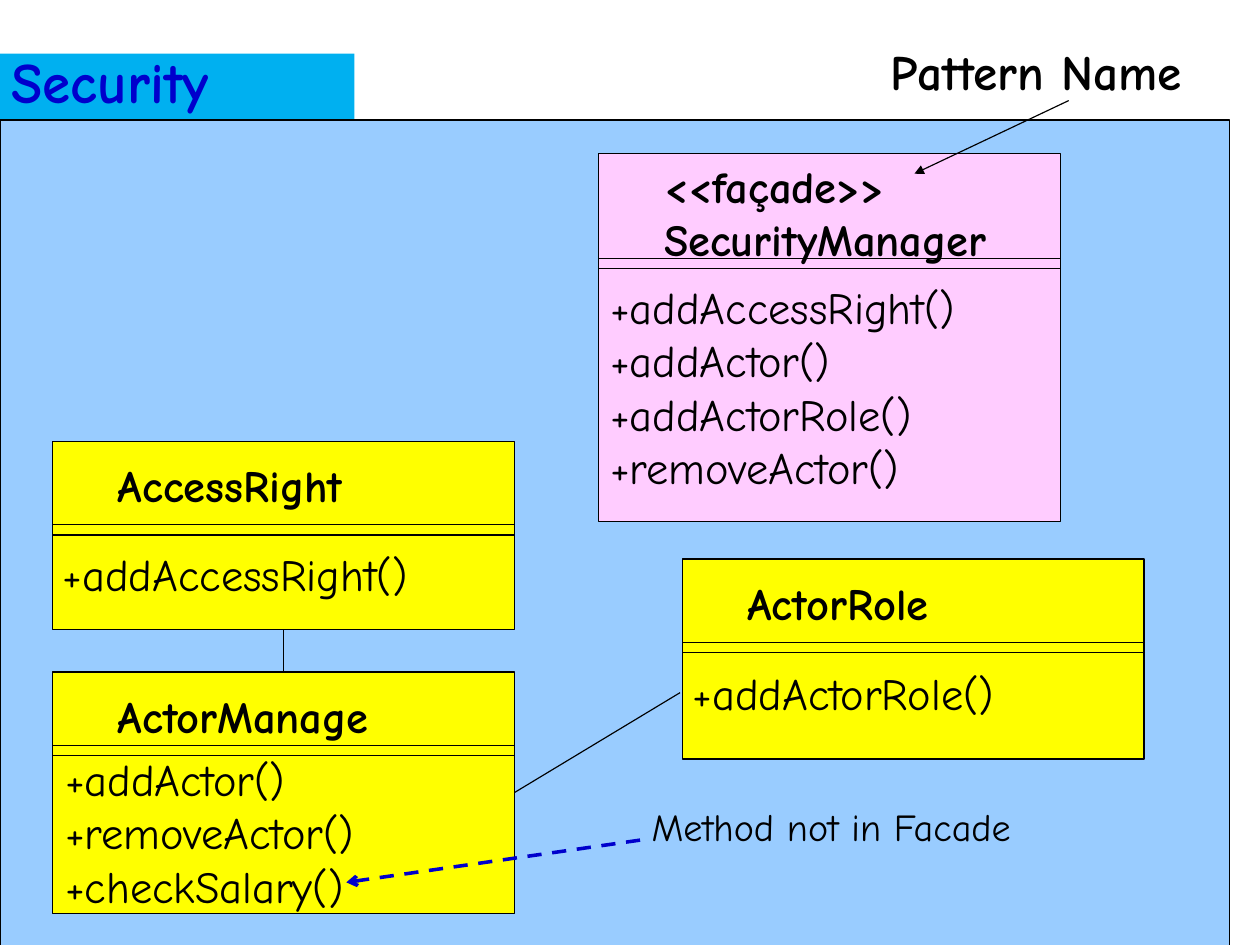
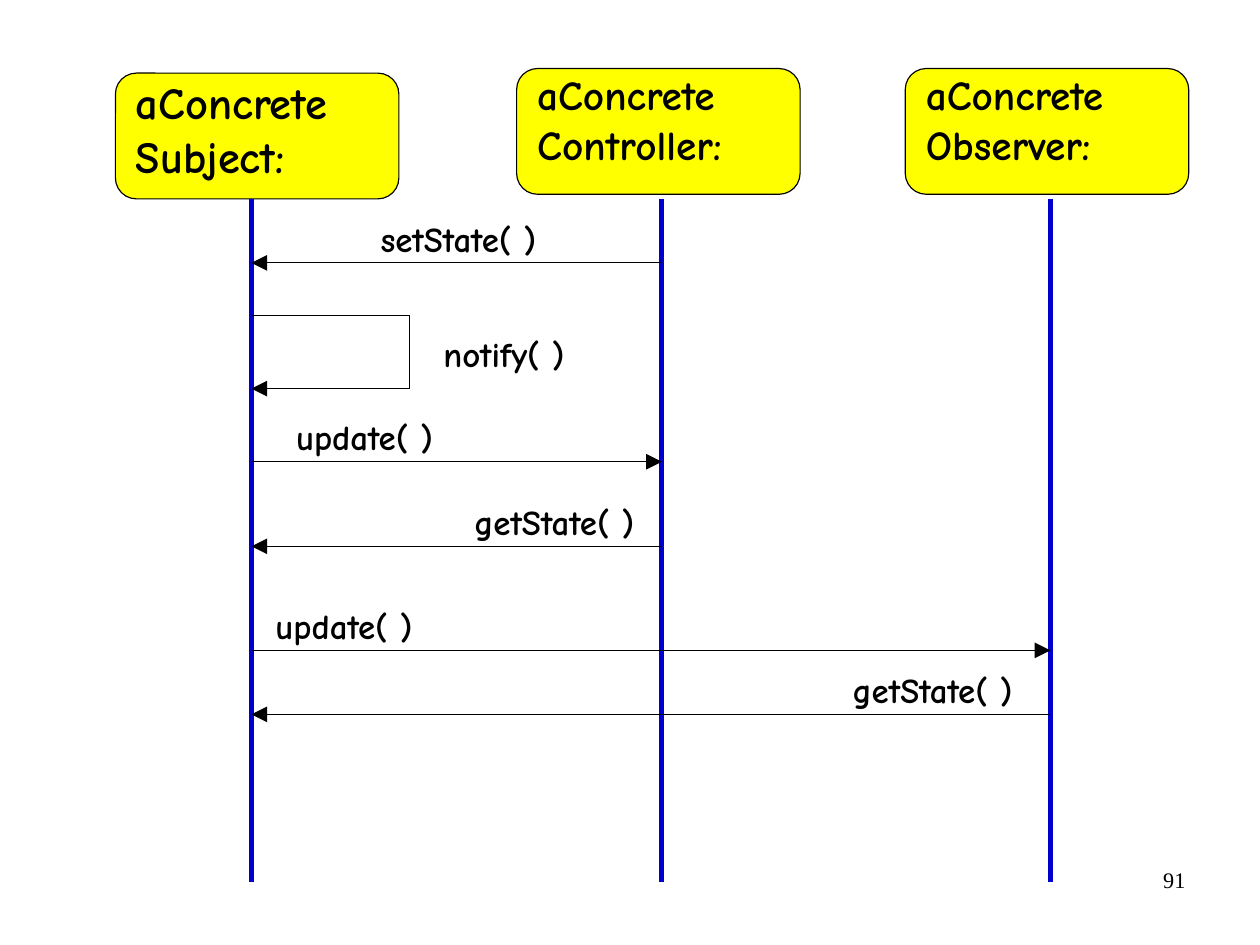
from dataclasses import dataclass
from itertools import pairwise

from pptx import Presentation
from pptx import util as u
from pptx.dml.color import RGBColor
from pptx.enum import dml, shapes, text
from pptx.oxml.xmlchemy import OxmlElement

# Shared style: 100 px to the inch, on a page of 28 by 21 cm
SCALE = 9144
PAGE_WIDTH, PAGE_HEIGHT = u.Cm(28), u.Cm(21)
COLOURS = {
    "black": "000000", "blue": "0000CC", "sky": "99CCFF",
    "cyan": "00B0F0", "yellow": "FFFF00", "pink": "FFCCFF",
}
FONT = "Comic Neue"
NUMBER_FONT = "Times New Roman"
INSET_X, INSET_Y = 11, 6
LINE_PX = 1.68  # height of a text line in px for each point of type
THIN = 0.75
RULE_GAP = 9
CLASS_WIDTH = 404
HEAD_WIDTH, HEAD_HEIGHT = 248, 110
LIFE_TOP, LIFE_BOTTOM = 174, 772
MESSAGE_SIZE = 22


@dataclass(frozen=True)
class ClassBox:
    name: tuple[str, ...]
    methods: tuple[str, ...]
    left: int
    top: int
    height: int
    rule: int  # offsets below are from the top of the box
    methods_top: int
    name_width: int
    methods_width: int
    fill: str = "yellow"
    name_top: int = 9
    methods_left: int = -2


@dataclass(frozen=True)
class Participant:
    lines: tuple[str, str]
    left: int
    top: int
    life: int
    text_top: int
    text_width: int
    size: int = 26


@dataclass(frozen=True)
class Message:
    label: str
    start: int
    end: int
    y: int
    label_left: int
    label_width: int


ROLE = ClassBox(("ActorRole",), ("+addActorRole()",), 597, 489, 175,
                73, 88, 208, 321)
MANAGER = ClassBox(("ActorManage",),
                   ("+addActor()", "+removeActor()", "+checkSalary()"),
                   46, 588, 211, 64, 64, 271, 309, methods_left=0)
RIGHT = ClassBox(("AccessRight",), ("+addAccessRight()",), 46, 386, 165,
                 73, 87, 250, 363)
FACADE = ClassBox(("<<façade>>", "SecurityManager"),
                  ("+addAccessRight()", "+addActor()", "+addActorRole()",
                   "+removeActor()"),
                  524, 134, 322, 92, 105, 343, 363, "pink", -1, -1)

SUBJECT = Participant(("aConcrete", "Subject:"), 101, 64, 220, -4, 211, 28)
CONTROLLER = Participant(("aConcrete", "Controller:"), 452, 60, 579, -5, 208)
OBSERVER = Participant(("aConcrete", "Observer:"), 792, 60, 919, -5, 198)

MESSAGES = (
    Message("setState( )", CONTROLLER.life, SUBJECT.life, 230, 322, 190),
    Message("update( )", SUBJECT.life, CONTROLLER.life, 404, 248, 158),
    Message("getState( )", CONTROLLER.life, SUBJECT.life, 478, 404, 191),
    Message("update( )", SUBJECT.life, OBSERVER.life, 569, 230, 158),
    Message("getState( )", OBSERVER.life, SUBJECT.life, 625, 735, 191),
)


def px(length: float) -> u.Emu:
    return u.Emu(round(length * SCALE))


def colour(name: str) -> RGBColor:
    return RGBColor.from_string(COLOURS[name])


def add_run(para, words: str, size: int, bold: bool = False,
            ink: str = "black", font: str = FONT) -> None:
    span = para.add_run()
    span.text = words
    span.font.size = u.Pt(size)
    span.font.name = font
    span.font.bold = bold
    span.font.color.rgb = colour(ink)


def set_insets(frame, across: int, down: int) -> None:
    frame.margin_left = frame.margin_right = px(across)
    frame.margin_top = frame.margin_bottom = px(down)


def add_label(page, lines: tuple[str, ...], left: int, top: int, width: int,
              size: int = 28, bold: bool = False) -> None:
    height = 2 * INSET_Y - 1 + len(lines) * size * LINE_PX
    box = page.shapes.add_textbox(px(left), px(top), px(width), px(height))
    frame = box.text_frame
    set_insets(frame, INSET_X, INSET_Y)
    frame.word_wrap = False
    frame.auto_size = text.MSO_AUTO_SIZE.SHAPE_TO_FIT_TEXT
    for index, words in enumerate(lines):
        para = frame.add_paragraph() if index else frame.paragraphs[0]
        add_run(para, words, size, bold)


def add_panel(page, left: int, top: int, width: int, height: int, fill: str,
              kind=shapes.MSO_SHAPE.RECTANGLE):
    panel = page.shapes.add_shape(kind, px(left), px(top), px(width), px(height))
    panel.shadow.inherit = False
    panel.fill.solid()
    panel.fill.fore_color.rgb = colour(fill)
    panel.line.color.rgb = colour("black")
    panel.line.width = u.Pt(THIN)
    return panel


def add_line(page, start: tuple[int, int], end: tuple[int, int],
             ink: str = "black", width: float = THIN, arrow: str = "",
             arrow_size: str = "med", dashed: bool = False):
    line = page.shapes.add_connector(
        shapes.MSO_CONNECTOR.STRAIGHT, *map(px, start + end))
    line.line.color.rgb = colour(ink)
    line.line.width = u.Pt(width)
    if dashed:
        line.line.dash_style = dml.MSO_LINE.DASH
    if arrow:
        tail = OxmlElement("a:tailEnd")
        tail.set("type", arrow)
        tail.set("w", arrow_size)
        tail.set("len", arrow_size)
        line.line._get_or_add_ln().append(tail)
    line._element.spPr.append(OxmlElement("a:effectLst"))
    return line


def add_title(page, words: str) -> None:
    title = page.shapes.title
    title.left, title.top, title.width, title.height = map(px, (0, 47, 310, 58))
    title.fill.solid()
    title.fill.fore_color.rgb = colour("cyan")
    frame = title.text_frame
    set_insets(frame, 10, 5)
    frame.word_wrap = True
    frame.auto_size = text.MSO_AUTO_SIZE.SHAPE_TO_FIT_TEXT
    frame.vertical_anchor = text.MSO_ANCHOR.TOP
    para = frame.paragraphs[0]
    para.alignment = text.PP_ALIGN.LEFT
    para.line_spacing = 0.8
    add_run(para, words, 36, True, "blue")


def add_page_number(page, number: str) -> None:
    box = page.shapes.add_textbox(px(790), px(753), px(257), px(57))
    frame = box.text_frame
    set_insets(frame, 10, 5)
    frame.word_wrap = True
    para = frame.paragraphs[0]
    para.alignment = text.PP_ALIGN.RIGHT
    add_run(para, number, 14, font=NUMBER_FONT)


def add_class(page, item: ClassBox):
    panel = add_panel(page, item.left, item.top, CLASS_WIDTH, item.height,
                      item.fill)
    add_label(page, item.name, item.left + 46, item.top + item.name_top,
              item.name_width, bold=True)
    add_label(page, item.methods, item.left + item.methods_left,
              item.top + item.methods_top, item.methods_width)
    for offset in (item.rule, item.rule + RULE_GAP):
        y = item.top + offset
        add_line(page, (item.left, y), (item.left + CLASS_WIDTH, y))
    return panel


def add_participant(page, item: Participant) -> None:
    add_panel(page, item.left, item.top, HEAD_WIDTH, HEAD_HEIGHT, "yellow",
              shapes.MSO_SHAPE.ROUNDED_RECTANGLE)
    add_label(page, item.lines, item.left + 7, item.top + item.text_top,
              item.text_width, item.size, True)
    add_line(page, (item.life, LIFE_TOP), (item.life, LIFE_BOTTOM), "blue", 3)


def add_message(page, item: Message) -> None:
    add_line(page, (item.start, item.y), (item.end, item.y),
             arrow="triangle", arrow_size="lg")
    add_label(page, (item.label,), item.label_left, item.y - 46,
              item.label_width, MESSAGE_SIZE, True)


def build_class_slide(deck) -> None:
    page = deck.slides.add_slide(deck.slide_layouts[5])
    add_title(page, "Security")
    add_panel(page, 0, 105, 1076, 722, "sky")
    _, manager, right, _ = [
        add_class(page, item) for item in (ROLE, MANAGER, RIGHT, FACADE)]

    # Associations between classes
    middle = MANAGER.left + CLASS_WIDTH // 2
    link = add_line(page, (middle, 588), (middle, 551))
    link.begin_connect(manager, 0)
    link.end_connect(right, 2)
    link = add_line(page, (450, 693), (595, 606))
    link.begin_connect(manager, 3)

    # Remarks with their pointers
    add_label(page, ("Method not in Facade",), 559, 697, 362, 24)
    add_line(page, (560, 735), (303, 772), "blue", 2.25, "arrow", dashed=True)
    add_label(page, ("Pattern Name",), 768, 30, 334, 31, True)
    add_line(page, (935, 88), (800, 152), arrow="triangle")


def build_sequence_slide(deck) -> None:
    page = deck.slides.add_slide(deck.slide_layouts[6])
    add_page_number(page, "91")
    for participant in (SUBJECT, CONTROLLER, OBSERVER):
        add_participant(page, participant)
    for message in MESSAGES:
        add_message(page, message)

    # The subject's call to itself
    corners = ((SUBJECT.life, 276), (358, 276), (358, 340), (SUBJECT.life, 340))
    for start, end in pairwise(corners):
        add_line(page, start, end, arrow_size="lg",
                 arrow="triangle" if end == corners[-1] else "")
    add_label(page, ("notify( )",), 377, 285, 146, MESSAGE_SIZE, True)


def main() -> None:
    deck = Presentation()
    deck.slide_width, deck.slide_height = PAGE_WIDTH, PAGE_HEIGHT
    build_class_slide(deck)
    build_sequence_slide(deck)
    deck.save("out.pptx")


if __name__ == "__main__":
    main()
